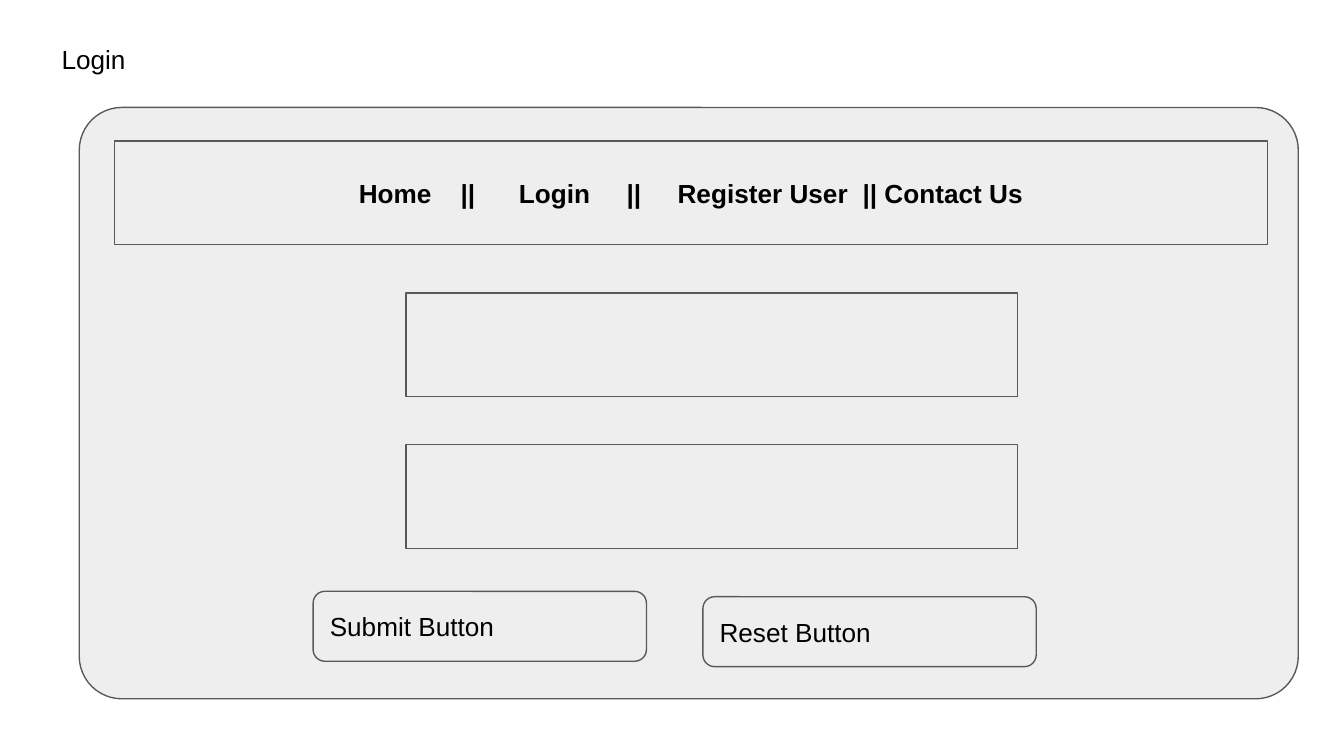
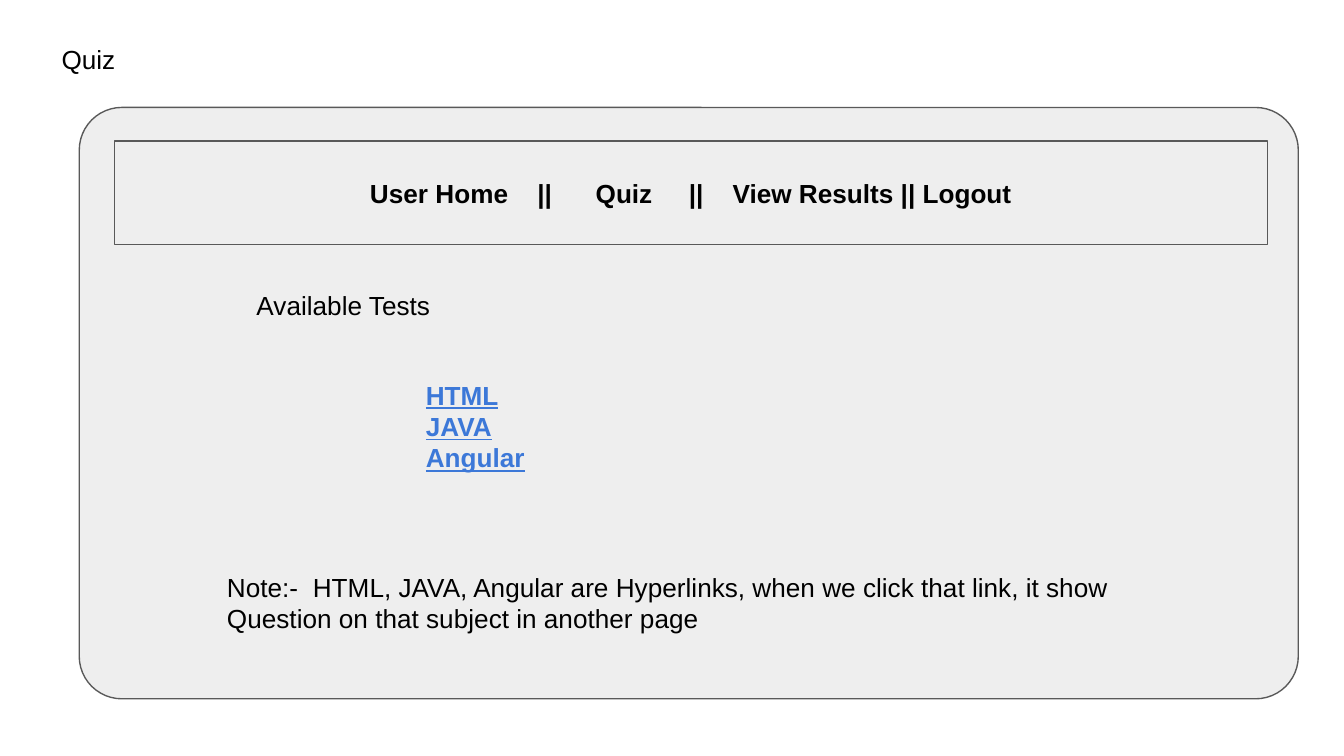
"""Build the login and quiz page wireframes."""
from pptx import Presentation
from pptx.dml.color import RGBColor
from pptx.enum.shapes import MSO_SHAPE
from pptx.enum.text import MSO_ANCHOR, MSO_AUTO_SIZE, PP_ALIGN
from pptx.util import Inches, Pt

BLACK = RGBColor(0x00, 0x00, 0x00)
PANEL = RGBColor(0xEE, 0xEE, 0xEE)
EDGE = RGBColor(0x59, 0x59, 0x59)
LINK = RGBColor(0x3C, 0x78, 0xD8)
FONT = "Arial"
SIZE = 14
SPACE = 389


def text(shape, lines, align=PP_ALIGN.LEFT, anchor=MSO_ANCHOR.TOP,
         color=BLACK, bold=False, under=False):
    """Write lines, each a string or a list of (words, width of gap after)."""
    frame = shape.text_frame
    frame.word_wrap = True
    frame.vertical_anchor = anchor
    frame.margin_left = frame.margin_right = Inches(0.1)
    frame.margin_top = frame.margin_bottom = Inches(0.1)
    for index, line in enumerate(lines):
        para = frame.add_paragraph() if index else frame.paragraphs[0]
        para.alignment = align
        for words, gap in [(line, 0)] if isinstance(line, str) else line:
            for part in (words, " ") if gap else (words,):
                run = para.add_run()
                run.text = part
                font = run.font
                font.name, font.size = FONT, Pt(SIZE)
                font.bold, font.underline = bold, under
                font.color.rgb = color
                if part == " " and gap > 1:
                    props = run._r.get_or_add_rPr()
                    props.set("spc", str((gap - 1) * SPACE))


def label(slide, place, lines, **style):
    """Add a text box that grows with its lines."""
    box = slide.shapes.add_textbox(*map(Inches, place))
    text(box, lines, **style)
    box.text_frame.auto_size = MSO_AUTO_SIZE.SHAPE_TO_FIT_TEXT


def block(slide, place, round_by=None):
    """Add a grey outlined box, with rounded corners if asked."""
    kind = MSO_SHAPE.ROUNDED_RECTANGLE if round_by else MSO_SHAPE.RECTANGLE
    shape = slide.shapes.add_shape(kind, *map(Inches, place))
    shape.shadow.inherit = False
    shape.fill.solid()
    shape.fill.fore_color.rgb = PANEL
    shape.line.color.rgb = EDGE
    shape.line.width = Pt(0.75)
    if round_by:
        shape.adjustments[0] = round_by
    return shape


def button(slide, left, top, name):
    """Add a named button."""
    shape = block(slide, (left, top, 2.48, 0.52), 0.167)
    text(shape, [name], anchor=MSO_ANCHOR.MIDDLE)


def page(deck, title, menu):
    """Add a slide with its title, page panel and menu bar."""
    slide = deck.slides.add_slide(deck.slide_layouts[6])
    label(slide, (0.36, 0.22, 9.4, 0.44), [title])
    block(slide, (0.59, 0.8, 9.07, 4.4), 0.072)
    bar = block(slide, (0.85, 1.05, 8.58, 0.77))
    text(bar, [menu], align=PP_ALIGN.CENTER, anchor=MSO_ANCHOR.MIDDLE,
         bold=True)
    return slide


def login(deck):
    """Build the login page."""
    menu = [("Home", 4), ("||", 6), ("Login", 5), ("||", 5),
            ("Register User", 2), ("|| Contact Us", 0)]
    slide = page(deck, "Login", menu)
    for row in range(2):
        block(slide, (3.02, 2.18 + row * 1.13, 4.55, 0.77))
    button(slide, 2.33, 4.4, "Submit Button")
    button(slide, 5.23, 4.44, "Reset Button")


def quiz(deck):
    """Build the quiz page."""
    menu = [("User Home", 4), ("||", 6), ("Quiz", 5), ("||", 4),
            ("View Results || Logout", 0)]
    slide = page(deck, "Quiz", menu)
    label(slide, (1.81, 2.05, 3.6, 0.44), ["Available Tests"])
    label(slide, (3.07, 2.72, 5.42, 0.91), ["HTML", "JAVA", "Angular"],
          color=LINK, bold=True, under=True)
    note = [("Note:-", 2),
            ("HTML, JAVA, Angular are Hyperlinks, when we click that link, "
             "it show Question on that subject in another page", 0)]
    label(slide, (1.59, 4.15, 7.28, 0.67), [note])


def main():
    """Build and save the deck."""
    deck = Presentation()
    deck.slide_width = Inches(10)
    deck.slide_height = Inches(10) * 9 // 16
    login(deck)
    quiz(deck)
    deck.save("out.pptx")


main()
